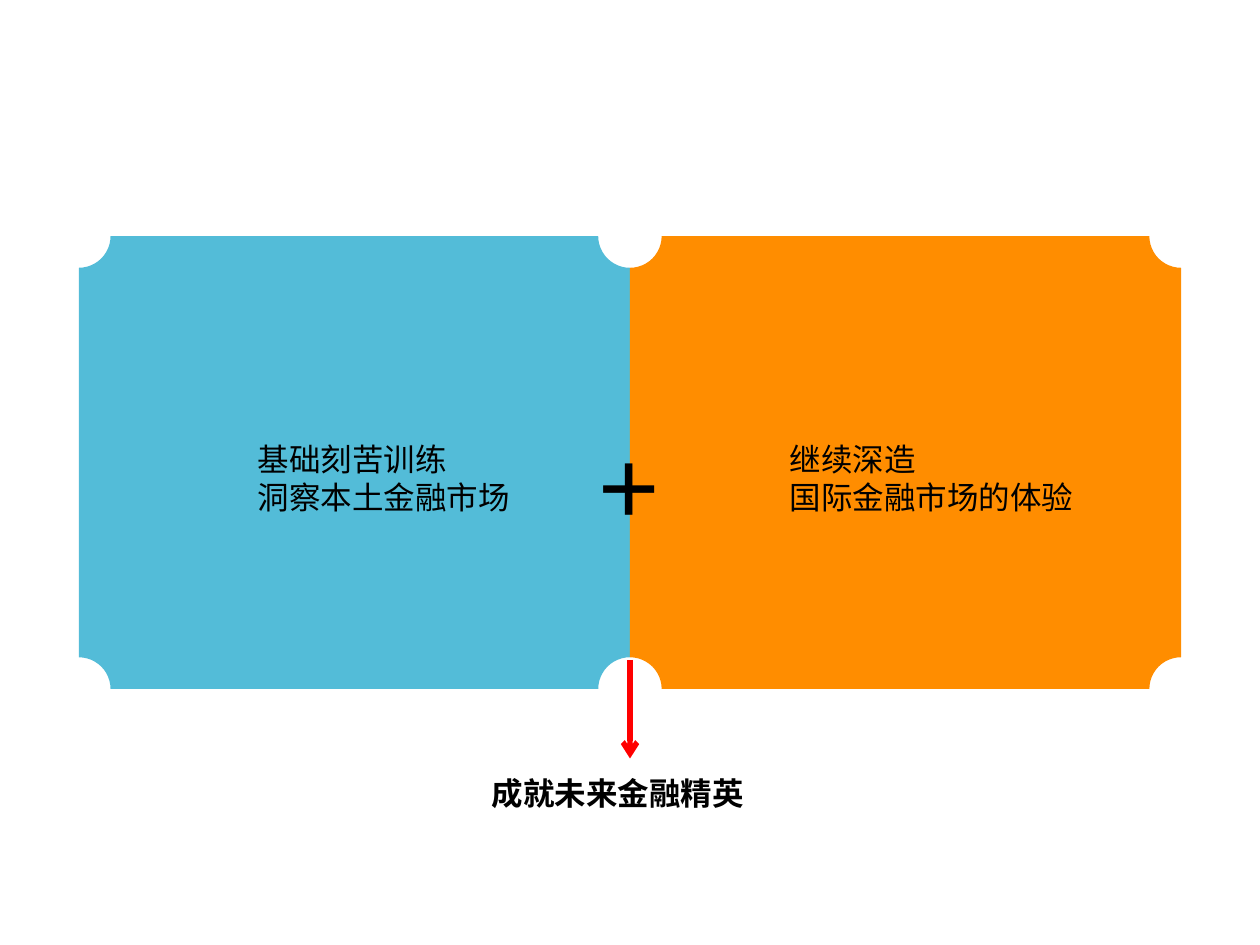
from dataclasses import dataclass

from lxml import etree
from pptx import Presentation
from pptx.dml.color import RGBColor
from pptx.enum.shapes import MSO_CONNECTOR, MSO_SHAPE
from pptx.oxml.ns import qn
from pptx.util import Cm, Pt

PLAQUE = MSO_SHAPE.PLAQUE
STRAIGHT = MSO_CONNECTOR.STRAIGHT


@dataclass(frozen=True)
class Theme:
    blue: str = "53BCD8"
    orange: str = "FF8D00"
    red: str = "FF0000"
    black: str = "000000"
    latin: str = "Arial"
    cjk: str = "Noto Sans CJK SC"
    body: int = 18
    body_leading: float = 21.6
    symbol: int = 60
    arrow: int = 3


class SlideBuilder:
    def __init__(self, slide, theme):
        self.s = slide
        self.theme = theme

    def panel(self, x, y, w, h, color):
        sp = self.s.shapes.add_shape(PLAQUE, Cm(x), Cm(y), Cm(w), Cm(h))
        sp.adjustments[0] = 0.07
        sp.shadow.inherit = False
        sp.fill.solid()
        sp.fill.fore_color.rgb = RGBColor.from_string(color)
        sp.line.fill.background()

    def text(self, x, y, w, h, lines, font, size, leading=None, bold=False, wrap=False):
        sp = self.s.shapes.add_textbox(Cm(x), Cm(y), Cm(w), Cm(h))
        tf = sp.text_frame
        tf.word_wrap = wrap
        for i, line in enumerate(lines):
            p = tf.add_paragraph() if i else tf.paragraphs[0]
            if leading:
                p.line_spacing = Pt(leading)
            r = p.add_run()
            r.text = line
            r.font.size = Pt(size)
            r.font.bold = bold
            r.font.color.rgb = RGBColor.from_string(self.theme.black)
            r.font.name = font
            ea = etree.SubElement(r.font._element, qn("a:ea"))
            ea.set("typeface", self.theme.cjk)

    def arrow(self, x1, y1, x2, y2, color):
        c = self.s.shapes.add_connector(STRAIGHT, Cm(x1), Cm(y1), Cm(x2), Cm(y2))
        c.line.color.rgb = RGBColor.from_string(color)
        c.line.width = Pt(self.theme.arrow)
        ln = c.line._get_or_add_ln()
        etree.SubElement(ln, qn("a:tailEnd")).set("type", "arrow")
        etree.SubElement(c._element.spPr, qn("a:effectLst"))


def main():
    prs = Presentation()
    prs.slide_width, prs.slide_height = Cm(25.4), Cm(19.05)
    t = Theme()
    b = SlideBuilder(prs.slides.add_slide(prs.slide_layouts[6]), t)

    center, panel_w = 12.7, 11.11
    b.panel(center - panel_w, 4.76, panel_w, 9.13, t.blue)
    b.panel(center, 4.76, panel_w, 9.13, t.orange)

    b.text(15.67, 8.74, 6.27, 2.57, ["继续深造", "国际金融市场的体验"],
           t.cjk, t.body, t.body_leading)
    b.text(4.95, 8.74, 5.64, 1.8, ["基础刻苦训练", "洞察本土金融市场"],
           t.cjk, t.body, t.body_leading)
    b.text(11.81, 8.33, 2.18, 2.82, ["+"], t.latin, t.symbol, wrap=True)
    b.arrow(center, 13.3, center, 15.29, t.red)
    b.text(9.66, 15.47, 5.6, 1.02, ["成就未来金融精英"],
           t.latin, t.body, t.body_leading, bold=True)

    prs.save("out.pptx")


if __name__ == "__main__":
    main()
